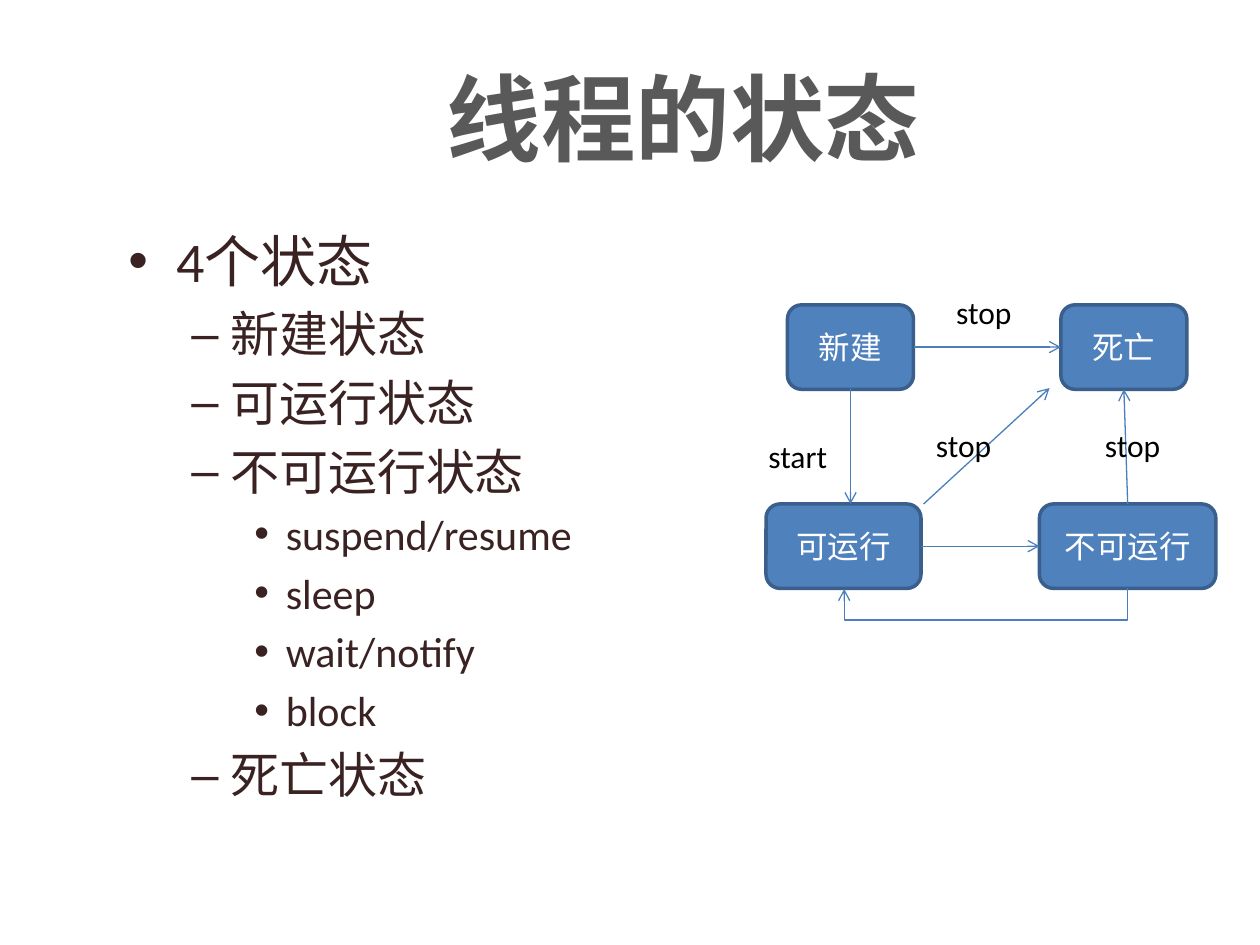
from lxml import etree
from pptx import Presentation
from pptx.dml.color import RGBColor
from pptx.enum.shapes import MSO_CONNECTOR, MSO_SHAPE
from pptx.enum.text import MSO_ANCHOR, MSO_AUTO_SIZE, PP_ALIGN
from pptx.oxml.ns import qn
from pptx.util import Inches, Pt

GRAY = RGBColor(0x59, 0x59, 0x59)
BROWN = RGBColor(0x3A, 0x22, 0x22)
BLUE = RGBColor(0x4F, 0x81, 0xBD)
EDGE = RGBColor(0x3A, 0x5F, 0x8C)
ARROW = RGBColor(0x4B, 0x7E, 0xBC)
WHITE = RGBColor(0xFF, 0xFF, 0xFF)
BLACK = RGBColor(0, 0, 0)
TOP, LEFT, BOTTOM, RIGHT = range(4)
LEVELS = [(32, 0.38, 0.38, "•"), (28, 0.81, 0.31, "–"), (24, 1.25, 0.25, "•")]


def add(parent, tag, **attrs):
    el = etree.SubElement(parent, qn(tag))
    for name, value in attrs.items():
        el.set(name, str(value))
    return el


class StateSlide:
    font = "Calibri"

    def __init__(self, slide):
        self.s = slide

    def run(self, p, text, size, color, **formats):
        r = p.add_run()
        r.text = text
        for name, value in {"name": self.font, "size": Pt(size), **formats}.items():
            setattr(r.font, name, value)
        r.font.color.rgb = color
        return r

    def text_box(self, x, y, w, h, **formats):
        tf = self.s.shapes.add_textbox(*map(Inches, (x, y, w, h))).text_frame
        for name, value in {"word_wrap": True, **formats}.items():
            setattr(tf, name, value)
        return tf

    def title(self, text, *box):
        p = self.text_box(*box, vertical_anchor=MSO_ANCHOR.MIDDLE).paragraphs[0]
        p.alignment = PP_ALIGN.CENTER
        r = self.run(p, text, 54, GRAY, name="Open Sans", bold=True)
        ln = etree.Element(qn("a:ln"), w=str(Pt(1.5)))
        add(add(ln, "a:solidFill"), "a:srgbClr", val=GRAY)
        r.font._element.insert(0, ln)

    def bullets(self, items, *box):
        tf = self.text_box(*box)
        for i, (level, text) in enumerate(items):
            p = tf.add_paragraph() if i else tf.paragraphs[0]
            p.level = level
            size, margin, hang, char = LEVELS[level]
            pPr = p._p.get_or_add_pPr()
            pPr.set("marL", str(Inches(margin)))
            pPr.set("indent", str(-Inches(hang)))
            add(add(pPr, "a:spcBef"), "a:spcPct", val=20000)
            add(pPr, "a:buFont", typeface="Arial")
            add(pPr, "a:buChar", char=char)
            self.run(p, text, size, BROWN)

    def state(self, text, x, y, w):
        sp = self.s.shapes.add_shape(MSO_SHAPE.FLOWCHART_ALTERNATE_PROCESS,
                                     *map(Inches, (x, y, w, 0.67)))
        sp.shadow.inherit = False
        sp.fill.solid()
        sp.fill.fore_color.rgb = BLUE
        sp.line.color.rgb = EDGE
        sp.line.width = Pt(2)
        tf = sp.text_frame
        tf.vertical_anchor = MSO_ANCHOR.MIDDLE
        p = tf.paragraphs[0]
        p.alignment = PP_ALIGN.CENTER
        self.run(p, text, 18, WHITE)
        return sp

    def label(self, text, x, y, w=0.82):
        tf = self.text_box(x, y, w, 0.4, auto_size=MSO_AUTO_SIZE.SHAPE_TO_FIT_TEXT)
        self.run(tf.paragraphs[0], text, 18, BLACK)

    def arrow(self, start, end, begin=None, finish=None, kind=MSO_CONNECTOR.STRAIGHT):
        cxn = self.s.shapes.add_connector(kind, *map(Inches, start + end))
        if begin:
            cxn.begin_connect(*begin)
        if finish:
            cxn.end_connect(*finish)
        cxn.line.color.rgb = ARROW
        cxn.line.width = Pt(0.75)
        add(cxn.line._get_or_add_ln(), "a:tailEnd", type="arrow")
        add(cxn._element.spPr, "a:effectLst")
        return cxn

    def loop_below(self, start, end, begin, finish, drop):
        cxn = self.arrow(start, end, begin, finish, MSO_CONNECTOR.ELBOW)
        span, depth = start[0] - end[0], 0.01
        xfrm = cxn._element.spPr.find(qn("a:xfrm"))
        for flip in ("flipH", "flipV"):
            xfrm.attrib.pop(flip, None)
        xfrm.set("rot", str(90 * 60000))
        cxn.left = Inches((start[0] + end[0] - depth) / 2)
        cxn.top = Inches(start[1] - span / 2)
        cxn.width, cxn.height = Inches(depth), Inches(span)
        geom = cxn._element.spPr.find(qn("a:prstGeom"))
        guides = geom.find(qn("a:avLst"))
        if guides is None:
            guides = add(geom, "a:avLst")
        add(guides, "a:gd", name="adj1", fmla=f"val {round(drop / depth * 100000)}")


prs = Presentation()
prs.slide_width, prs.slide_height = Inches(10), Inches(7.5)
s = StateSlide(prs.slides.add_slide(prs.slide_layouts[6]))

s.title("线程的状态", 0.92, 0.3, 9, 1.25)
s.bullets([
    (0, "4个状态"),
    (1, "新建状态"),
    (1, "可运行状态"),
    (1, "不可运行状态"),
    (2, "suspend/resume"),
    (2, "sleep"),
    (2, "wait/notify"),
    (2, "block"),
    (1, "死亡状态"),
], 0.92, 1.75, 9, 4.95)

new = s.state("新建", 6.25, 2.42, 1)
runnable = s.state("可运行", 6.08, 4, 1.23)
blocked = s.state("不可运行", 8.25, 4, 1.4)
dead = s.state("死亡", 8.42, 2.42, 1)

s.arrow((6.75, 3.08), (6.75, 4))
s.arrow((7.32, 4.33), (8.25, 4.33), (runnable, RIGHT), (blocked, LEFT))
s.arrow((7.25, 2.75), (8.42, 2.75), (new, RIGHT), (dead, LEFT))
s.arrow((7.33, 4), (8.33, 3.08))
s.arrow((8.95, 4), (8.92, 3.09), (blocked, TOP), (dead, BOTTOM))
s.loop_below((8.95, 4.67), (6.7, 4.67), (blocked, BOTTOM), (runnable, BOTTOM), 0.26)

s.label("start", 6, 3.42, 0.86)
for x, y in [(7.49, 2.28), (7.33, 3.33), (8.67, 3.33)]:
    s.label("stop", x, y)

prs.save("out.pptx")
